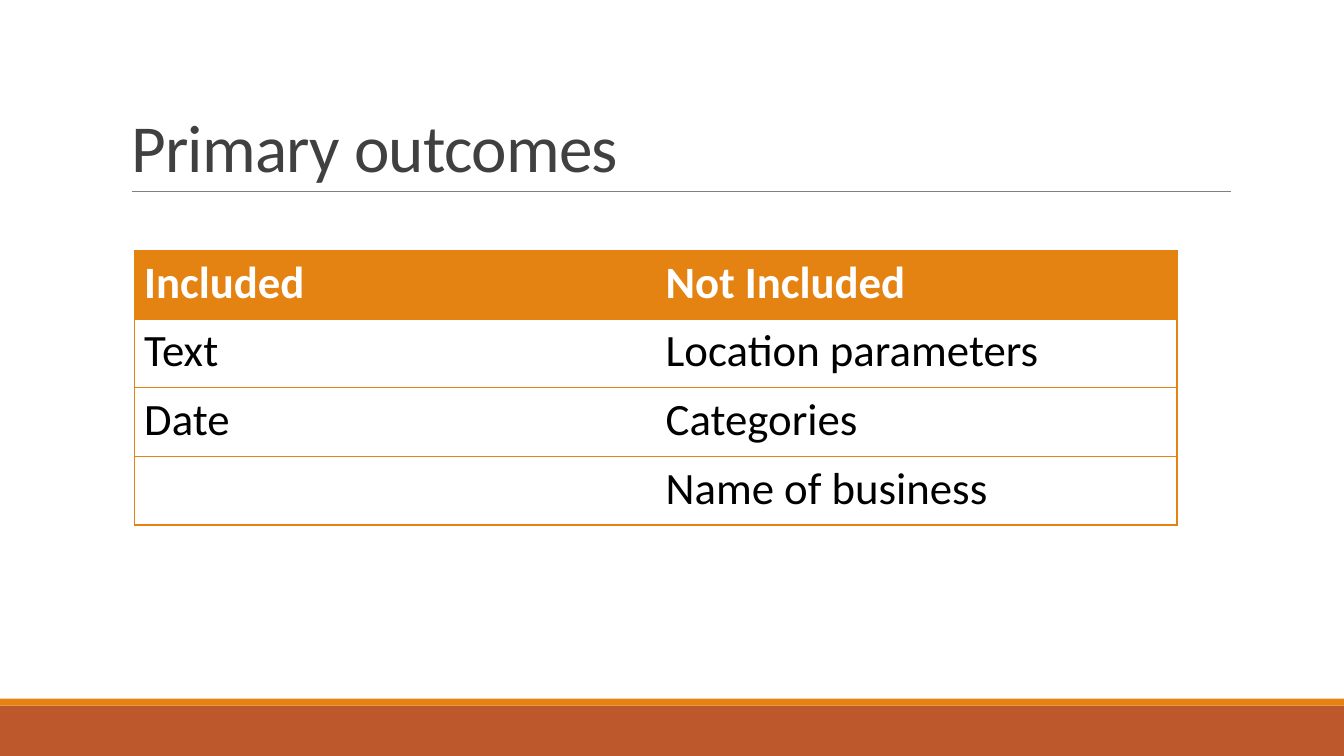
from lxml import etree
from pptx import Presentation
from pptx.dml.color import RGBColor
from pptx.enum import shapes as sh, text as tx
from pptx.oxml import ns
from pptx.util import Pt

HUE = {"rust": "BD582C", "gold": "E48312", "gray": "808080",
       "dark": "404040", "white": "FFFFFF", "black": "000000"}


def write(frame, words, size, hue, bold=False, track=0, space=None):
    par = frame.paragraphs[0]
    par.line_spacing = space
    run = par.add_run()
    run.text = words
    font = run.font
    font.name, font.size, font.bold = "Calibri", Pt(size), bold
    font.color.rgb = RGBColor.from_string(HUE[hue])
    if track:
        run._r.get_or_add_rPr().set("spc", str(track))


def edge(cell, side, hue):
    line = etree.SubElement(cell._tc.get_or_add_tcPr(), ns.qn("a:ln" + side),
                            w=str(Pt(1)))
    if hue:
        fill = etree.SubElement(line, ns.qn("a:solidFill"))
        etree.SubElement(fill, ns.qn("a:srgbClr"), val=HUE[hue])
    else:
        etree.SubElement(line, ns.qn("a:noFill"))


deck = Presentation()
deck.slide_width, deck.slide_height = Pt(960), Pt(540)
slide = deck.slides.add_slide(deck.slide_layouts[5])

# Footer bands
for top, high, hue in [(504, 36, "rust"), (499, 5, "gold")]:
    band = slide.shapes.add_shape(sh.MSO_SHAPE.RECTANGLE,
                                  0, Pt(top), Pt(960), Pt(high))
    band.shadow.inherit = False
    band.fill.solid()
    band.fill.fore_color.rgb = RGBColor.from_string(HUE[hue])
    band.line.fill.background()

# Rule under the title
rule = slide.shapes.add_connector(sh.MSO_CONNECTOR.STRAIGHT,
                                  Pt(94.3), Pt(136.8), Pt(879), Pt(136.8))
rule.line.color.rgb = RGBColor.from_string(HUE["gray"])
rule.line.width = Pt(0.5)
etree.SubElement(rule._element.spPr, ns.qn("a:effectLst"))

# Title
title = slide.shapes.title
title.left, title.top, title.width, title.height = (
    Pt(86.4), Pt(22.3), Pt(792), Pt(114.5))
frame = title.text_frame
frame.word_wrap = True
frame.auto_size = tx.MSO_AUTO_SIZE.NONE
frame.vertical_anchor = tx.MSO_ANCHOR.BOTTOM
write(frame, "Primary outcomes", 48, "dark", track=-50, space=0.85)
frame.paragraphs[0].alignment = tx.PP_ALIGN.LEFT

# Outcomes table
rows = [("Included", "Not Included"), ("Text", "Location parameters"),
        ("Date", "Categories"), ("", "Name of business")]
table = slide.shapes.add_table(len(rows), 2, Pt(95.8), Pt(179),
                               Pt(745), Pt(49 * len(rows))).table
table.horz_banding = False
for r, row in enumerate(rows):
    for c, words in enumerate(row):
        cell = table.cell(r, c)
        for side, hue in [("L", None if c else "gold"),
                          ("R", "gold" if c else None),
                          ("T", "gold"), ("B", "gold")]:
            edge(cell, side, hue)
        cell.fill.solid()
        cell.fill.fore_color.rgb = RGBColor.from_string(
            HUE["white" if r else "gold"])
        if words:
            write(cell.text_frame, words, 32, "black" if r else "white",
                  bold=r == 0)

deck.save("out.pptx")
